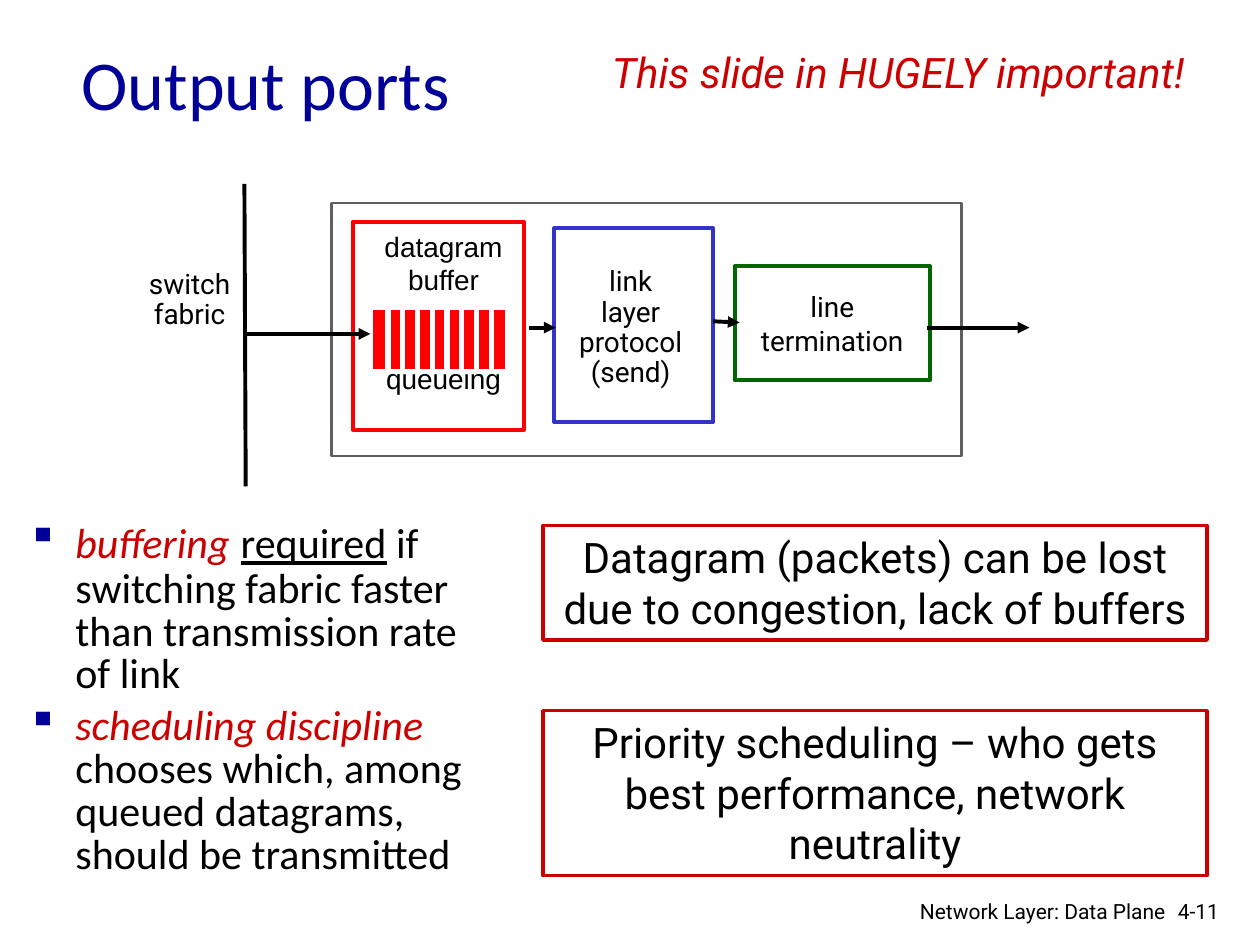
from lxml.etree import SubElement
from pptx import Presentation
from pptx.dml.color import RGBColor
from pptx.enum.shapes import MSO_CONNECTOR as Connector, MSO_SHAPE as Shape
from pptx.enum.text import MSO_ANCHOR as Anchor, PP_ALIGN as Align
from pptx.oxml.ns import qn
from pptx.util import Inches, Pt

BLACK = RGBColor(0x00, 0x00, 0x00)
WHITE = RGBColor(0xFF, 0xFF, 0xFF)
GRAY = RGBColor(0x5F, 0x5F, 0x5F)
NAVY = RGBColor(0x00, 0x00, 0x99)
BLUE = RGBColor(0x33, 0x33, 0xCC)
GREEN = RGBColor(0x00, 0x66, 0x00)
RED = RGBColor(0xFF, 0x00, 0x00)
CRIMSON = RGBColor(0xCC, 0x00, 0x00)

# Rectangles: left, top, width, height in inches
PORT = (2.63, 1.61, 5, 2.01)
TERMINATION = (5.83, 2.11, 1.55, 0.91)
PROTOCOL = (4.4, 1.81, 1.26, 1.54)
PROTOCOL_LABEL = (4.43, 2.15, 1.15, 0.91)
FABRIC_LABEL = (0.93, 1.93, 1.15, 0.91)
BUFFER = (2.8, 1.76, 1.36, 1.65)
BUFFER_LABEL = (2.89, 1.77, 1.26, 1.6)
QUEUE = (2.94, 2.44, 1.09, 0.51)
QUEUE_GAPS, FIRST_GAP, LAST_GAP = 8, 3.08, 3.9

FABRIC_LINE = (1.94, 1.46, 1.95, 3.86)
ARROWS = [
    (4.2, 2.6, 4.41, 2.6),
    (5.66, 2.55, 5.87, 2.56),
    (7.36, 2.6, 8.17, 2.6),
    (1.93, 2.65, 2.94, 2.65),
]

# Each bullet is a list of runs: text, size, colour, italic, underlined
BULLETS = [
    [
        ("buffering", 24, CRIMSON, True, False),
        (" ", 28, BLACK, False, False),
        ("required", 24, BLACK, False, True),
        (" if switching fabric faster than transmission rate of link",
         24, BLACK, False, False),
    ],
    [
        ("scheduling discipline", 24, CRIMSON, True, False),
        (" chooses which, among queued datagrams, should be transmitted",
         24, BLACK, False, False),
    ],
]
CALLOUTS = [
    (4.17, 0.91, "Datagram (packets) can be lost due to congestion, lack of buffers"),
    (5.64, 1.31, "Priority scheduling – who gets best performance, network neutrality"),
]


def write(shape, lines, size, font="Roboto", color=BLACK, align=Align.CENTER,
          anchor=Anchor.TOP, wrap=False, spacing=None, italic=False):
    frame = shape.text_frame
    frame.word_wrap = wrap
    frame.vertical_anchor = anchor
    frame.text = "\n".join(lines)
    for paragraph in frame.paragraphs:
        paragraph.alignment = align
        paragraph.line_spacing = spacing
        paragraph.font.size = Pt(size)
        paragraph.font.name = font
        paragraph.font.italic = italic
        paragraph.font.color.rgb = color
    return frame


def add_text(slide, area, lines, size, **style):
    return write(slide.shapes.add_textbox(*map(Inches, area)), lines, size, **style)


def add_box(slide, area, line=None, width=2.25, fill=WHITE):
    box = slide.shapes.add_shape(Shape.RECTANGLE, *map(Inches, area))
    box.shadow.inherit = False
    box.fill.solid()
    box.fill.fore_color.rgb = fill
    if line is None:
        box.line.fill.background()
    else:
        box.line.color.rgb = line
        box.line.width = Pt(width)
    return box


def add_line(slide, ends, color=BLACK, width=2.25, arrow=False):
    line = slide.shapes.add_connector(Connector.STRAIGHT, *map(Inches, ends))
    line.line.color.rgb = color
    line.line.width = Pt(width)
    if arrow:
        SubElement(line.line._get_or_add_ln(), qn("a:tailEnd"), type="triangle")
    SubElement(line._element.spPr, qn("a:effectLst"))


def add_bullets(slide, area):
    frame = slide.shapes.add_textbox(*map(Inches, area)).text_frame
    frame.word_wrap = True
    for index, runs in enumerate(BULLETS):
        paragraph = frame.add_paragraph() if index else frame.paragraphs[0]
        properties = paragraph._p.get_or_add_pPr()
        properties.set("marL", str(Inches(0.38)))
        properties.set("indent", str(-Inches(0.38)))
        bullet_color = SubElement(properties, qn("a:buClr"))
        SubElement(bullet_color, qn("a:srgbClr"), val=str(NAVY))
        SubElement(properties, qn("a:buChar"), char="▪")
        paragraph.line_spacing = 0.85
        if index:
            paragraph.space_before = Pt(5)
        paragraph.font.name = "Calibri"
        for text, size, color, italic, underline in runs:
            run = paragraph.add_run()
            run.text = text
            run.font.size = Pt(size)
            run.font.color.rgb = color
            run.font.italic = italic
            run.font.underline = underline


def add_buffer(slide):
    add_box(slide, BUFFER, RED)
    label = add_text(slide, BUFFER_LABEL, ["datagram", "buffer", "queueing"], 16,
                     font="Arial")
    label.paragraphs[2].space_before = Pt(37)  # two lines of room for the queue
    add_box(slide, QUEUE, WHITE, 3, fill=RED)
    pitch = (LAST_GAP - FIRST_GAP) / (QUEUE_GAPS - 1)
    for index in range(QUEUE_GAPS):
        x = FIRST_GAP + index * pitch
        add_line(slide, (x, 2.45, x, 2.94), WHITE, 3)


def add_diagram(slide):
    add_box(slide, PORT, GRAY, 1.5)
    write(add_box(slide, TERMINATION, GREEN), ["line", "termination"], 16,
          anchor=Anchor.MIDDLE)
    add_box(slide, PROTOCOL, BLUE)
    for area, lines in [
        (PROTOCOL_LABEL, ["link", "layer", "protocol", "(send)"]),
        (FABRIC_LABEL, ["switch", "fabric"]),
    ]:
        write(add_box(slide, area), lines, 16, anchor=Anchor.MIDDLE, spacing=0.9)
    add_buffer(slide)
    add_line(slide, FABRIC_LINE)
    for ends in ARROWS:
        add_line(slide, ends, arrow=True)


def main():
    presentation = Presentation()
    presentation.slide_width, presentation.slide_height = Inches(10), Inches(7.5)
    slide = presentation.slides.add_slide(presentation.slide_layouts[6])

    add_text(slide, (0.55, 0.28, 8.5, 0.75), ["Output ports"], 40, font="Calibri",
             color=NAVY, align=Align.LEFT, anchor=Anchor.MIDDLE, wrap=True)
    add_bullets(slide, (0.12, 4.07, 3.93, 3.4))
    add_diagram(slide)
    add_text(slide, (4.62, 0.32, 5.02, 0.51), ["This slide in HUGELY important!"], 24,
             color=CRIMSON, italic=True)
    for top, height, text in CALLOUTS:
        write(add_box(slide, (4.31, top, 5.27, height), CRIMSON, 2), [text], 24,
              wrap=True)
    add_text(slide, (9.25, 7.08, 0.61, 0.3), ["4-11"], 12, align=Align.LEFT, wrap=True)
    add_text(slide, (6.97, 7.08, 2.38, 0.26), ["Network Layer: Data Plane"], 12,
             align=Align.RIGHT, wrap=True)
    presentation.save("out.pptx")


if __name__ == "__main__":
    main()
